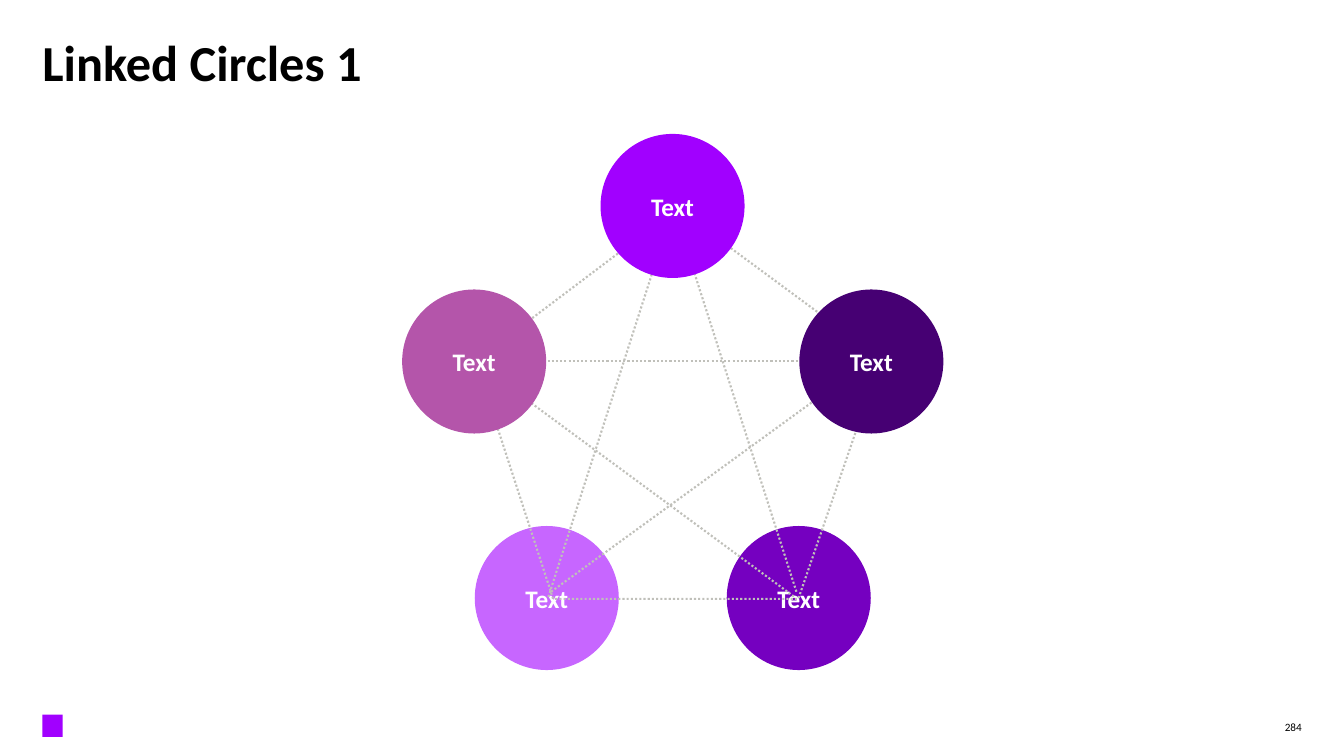
from typing import NamedTuple

from lxml import etree
from pptx import Presentation
from pptx.dml.color import RGBColor
from pptx.enum.dml import MSO_LINE
from pptx.enum.shapes import MSO_CONNECTOR, MSO_SHAPE
from pptx.enum.text import MSO_ANCHOR, PP_ALIGN
from pptx.oxml.ns import qn
from pptx.util import Cm, Pt

OVAL, RECTANGLE = MSO_SHAPE.OVAL, MSO_SHAPE.RECTANGLE
STRAIGHT = MSO_CONNECTOR.STRAIGHT
DOTTED = MSO_LINE.ROUND_DOT
TOP, MIDDLE = MSO_ANCHOR.TOP, MSO_ANCHOR.MIDDLE
LEFT, CENTER, RIGHT = PP_ALIGN.LEFT, PP_ALIGN.CENTER, PP_ALIGN.RIGHT

FONT = "Calibri"
DIAMETER = 3.63
COLORS = {
    "black": "000000",
    "white": "FFFFFF",
    "link": "C0C0BA",
    "purple": "A100FF",
    "dark": "460073",
    "deep": "7500C0",
    "light": "C766FF",
    "pink": "B455AA",
}


class Circle(NamedTuple):
    x: float
    y: float
    color: str


class Link(NamedTuple):
    x1: float
    y1: float
    x2: float
    y2: float


LOWER_CIRCLES = [Circle(20.13, 15.07, "deep"), Circle(13.78, 15.07, "light")]
UPPER_CIRCLES = [
    Circle(16.95, 5.19, "purple"),
    Circle(21.96, 9.11, "dark"),
    Circle(11.95, 9.11, "pink"),
]
PENTAGON = [(11.99, 9.09), (13.94, 15.09), (20.12, 15.09), (22.2, 9.04), (17.07, 5.26)]
DIAGONALS = [
    Link(13.82, 15.04, 16.94, 5.31),
    Link(11.94, 9.09, 20.02, 15.04),
    Link(13.89, 14.91, 22.22, 8.86),
    Link(20.07, 14.91, 17.02, 5.38),
    Link(11.89, 9.09, 22.22, 9.09),
]


def rgb(name: str) -> RGBColor:
    return RGBColor.from_string(COLORS[name])


def write(s, text: str, *, size: float, color: str, bold: bool = False,
          align=LEFT, anchor=TOP, inset: float = 0, wrap: bool = True,
          spacing: float = 1.0) -> None:
    tf = s.text_frame
    tf.word_wrap = wrap
    tf.vertical_anchor = anchor
    tf.margin_left = tf.margin_right = tf.margin_top = tf.margin_bottom = Cm(inset)
    p = tf.paragraphs[0]
    p.alignment = align
    p.line_spacing = spacing
    r = p.add_run()
    r.text = text
    r.font.name = FONT
    r.font.size = Pt(size)
    r.font.bold = bold
    r.font.color.rgb = rgb(color)


def add_filled(slide, kind, x: float, y: float, w: float, h: float, color: str):
    s = slide.shapes.add_shape(kind, Cm(x), Cm(y), Cm(w), Cm(h))
    s.shadow.inherit = False
    s.fill.solid()
    s.fill.fore_color.rgb = rgb(color)
    s.line.fill.background()
    return s


def add_circle(slide, circle: Circle) -> None:
    s = add_filled(slide, OVAL, circle.x - DIAMETER / 2, circle.y - DIAMETER / 2,
                   DIAMETER, DIAMETER, circle.color)
    write(s, "Text", size=18, color="white", bold=True, align=CENTER,
          anchor=MIDDLE, inset=0.13, wrap=False)


def style_link(s) -> None:
    s.line.color.rgb = rgb("link")
    s.line.width = Pt(1.5)
    s.line.dash_style = DOTTED


def add_pentagon(slide) -> None:
    points = [(Cm(x), Cm(y)) for x, y in PENTAGON]
    builder = slide.shapes.build_freeform(*points[0])
    builder.add_line_segments(points[1:], close=True)
    s = builder.convert_to_shape()
    s.shadow.inherit = False
    s.fill.background()
    style_link(s)


def add_diagonal(slide, link: Link) -> None:
    s = slide.shapes.add_connector(STRAIGHT, *(Cm(v) for v in link))
    style_link(s)
    etree.SubElement(s._element.spPr, qn("a:effectLst"))


def main() -> None:
    prs = Presentation()
    prs.slide_width, prs.slide_height = Cm(33.87), Cm(19.05)
    slide = prs.slides.add_slide(prs.slide_layouts[6])

    add_filled(slide, RECTANGLE, 1.07, 18.01, 0.51, 0.56, "purple")
    title = slide.shapes.add_textbox(Cm(1.07), Cm(1.07), Cm(31.75), Cm(2.24))
    write(title, "Linked Circles 1", size=36, color="black", bold=True, spacing=0.8)

    for circle in LOWER_CIRCLES:
        add_circle(slide, circle)
    add_pentagon(slide)
    for link in DIAGONALS:
        add_diagonal(slide, link)
    for circle in UPPER_CIRCLES:
        add_circle(slide, circle)

    number = slide.shapes.add_textbox(Cm(31.9), Cm(18.03), Cm(0.91), Cm(0.56))
    write(number, "284", size=8, color="black", align=RIGHT, anchor=MIDDLE)
    prs.save("out.pptx")


if __name__ == "__main__":
    main()
